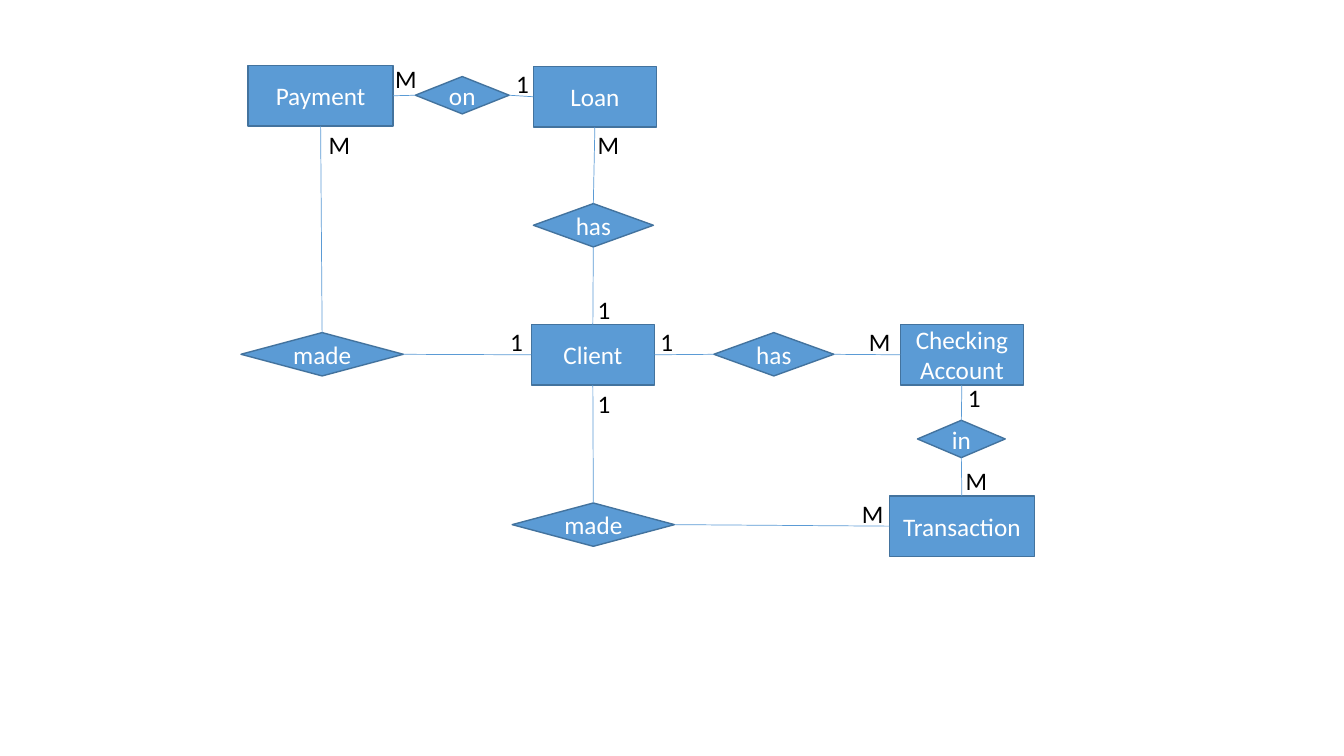
from pptx import Presentation
from pptx.dml.color import RGBColor
from pptx.enum import shapes, text
from pptx.oxml.ns import qn
from pptx.util import Inches, Pt
from lxml import etree

FILL, OUTLINE, WHITE, BLACK = "5B9BD5", "43739E", "FFFFFF", "000000"
ENTITY = shapes.MSO_SHAPE.RECTANGLE
RELATION = shapes.MSO_SHAPE.FLOWCHART_DECISION
TOP, LEFT, BOTTOM, RIGHT = range(4)

NODES = {
    "client": ("Client", ENTITY, 2.88, 2.57, 1.22, 0.6),
    "account": ("Checking Account", ENTITY, 6.54, 2.57, 1.22, 0.6),
    "transaction": ("Transaction", ENTITY, 6.43, 4.27, 1.44, 0.6),
    "loan": ("Loan", ENTITY, 2.9, 0.01, 1.22, 0.6),
    "payment": ("Payment", ENTITY, 0.07, 0, 1.44, 0.6),
    "has account": ("has", RELATION, 4.69, 2.65, 1.19, 0.43),
    "has loan": ("has", RELATION, 2.9, 1.37, 1.19, 0.43),
    "made transaction": ("made", RELATION, 2.69, 4.34, 1.61, 0.43),
    "made payment": ("made", RELATION, 0, 2.65, 1.61, 0.43),
    "in": ("in", RELATION, 6.71, 3.52, 0.87, 0.37),
    "on": ("on", RELATION, 1.73, 0.11, 0.93, 0.37),
}
LINKS = [
    ("client", RIGHT, "has account", LEFT),
    ("has account", RIGHT, "account", LEFT),
    ("made transaction", RIGHT, "transaction", LEFT),
    ("account", BOTTOM, "in", TOP),
    ("in", BOTTOM, "transaction", TOP),
    ("client", TOP, "has loan", BOTTOM),
    ("loan", BOTTOM, "has loan", TOP),
    ("payment", BOTTOM, "made payment", TOP),
    ("payment", RIGHT, "on", LEFT),
    ("on", RIGHT, "loan", LEFT),
    ("made payment", RIGHT, "client", LEFT),
    ("made transaction", TOP, "client", BOTTOM),
]
CARDINALITIES = {
    "1": [(4.06, 2.54), (3.44, 3.15), (7.11, 3.09),
          (3.44, 2.22), (2.57, 2.54), (2.63, -0.02)],
    "M": [(6.13, 2.54), (6.06, 4.24), (7.09, 3.92),
          (3.44, 0.58), (0.77, 0.58), (1.43, -0.07)],
}
CARDINALITY_WIDTHS = {"1": 0.31, "M": 0.42}


def color(value):
    return RGBColor.from_string(value)


def write(shape, words, font_color, alignment):
    paragraph = shape.text_frame.paragraphs[0]
    paragraph.text = words
    paragraph.alignment = alignment
    paragraph.font.name = "Calibri"
    paragraph.font.size = Pt(18)
    paragraph.font.color.rgb = color(font_color)


def add_node(slide, words, kind, left, top, width, height):
    shape = slide.shapes.add_shape(
        kind, Inches(left), Inches(top), Inches(width), Inches(height))
    shape.shadow.inherit = False
    shape.fill.solid()
    shape.fill.fore_color.rgb = color(FILL)
    shape.line.color.rgb = color(OUTLINE)
    shape.line.width = Pt(1)
    shape.text_frame.word_wrap = True
    shape.text_frame.vertical_anchor = text.MSO_ANCHOR.MIDDLE
    write(shape, words, WHITE, text.PP_ALIGN.CENTER)
    return shape


def add_link(slide, start, start_site, end, end_site):
    connector = slide.shapes.add_connector(shapes.MSO_CONNECTOR.STRAIGHT, 0, 0, 0, 0)
    connector.begin_connect(start, start_site)
    connector.end_connect(end, end_site)
    connector.line.color.rgb = color(FILL)
    connector.line.width = Pt(0.5)
    etree.SubElement(connector._element.spPr, qn("a:effectLst"))


def add_cardinality(slide, words, left, top):
    label = slide.shapes.add_textbox(
        Inches(left), Inches(top), Inches(CARDINALITY_WIDTHS[words]), Inches(0.4))
    label.text_frame.word_wrap = words == "1"
    label.text_frame.auto_size = text.MSO_AUTO_SIZE.SHAPE_TO_FIT_TEXT
    write(label, words, BLACK, text.PP_ALIGN.LEFT)


def add_entity_diagram(slide, left, top):
    nodes = {
        name: add_node(slide, words, kind, left + x, top + y, width, height)
        for name, (words, kind, x, y, width, height) in NODES.items()
    }
    for start, start_site, end, end_site in LINKS:
        add_link(slide, nodes[start], start_site, nodes[end], end_site)
    for words, places in CARDINALITIES.items():
        for x, y in places:
            add_cardinality(slide, words, left + x, top + y)


presentation = Presentation()
presentation.slide_width = Inches(13.33)
presentation.slide_height = Inches(7.5)
slide = presentation.slides.add_slide(presentation.slide_layouts[6])
add_entity_diagram(slide, 2.39, 0.65)
presentation.save("out.pptx")
